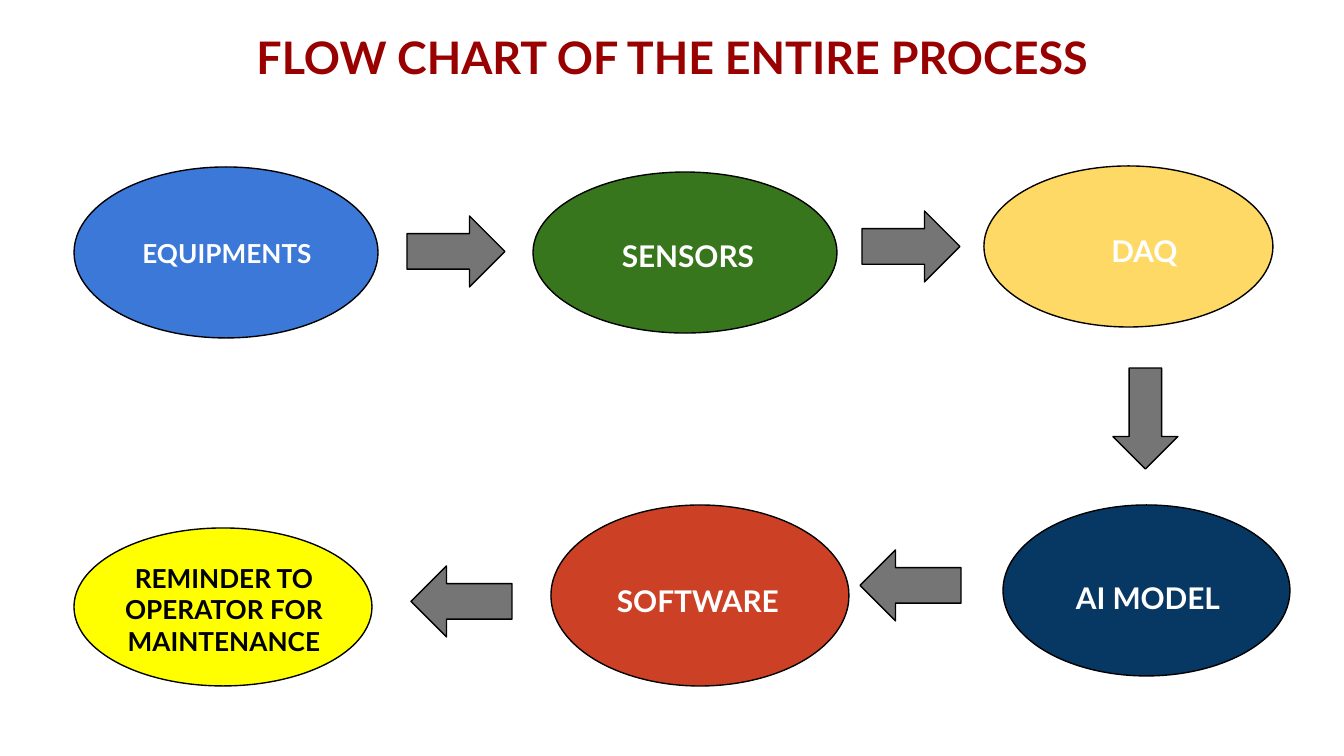
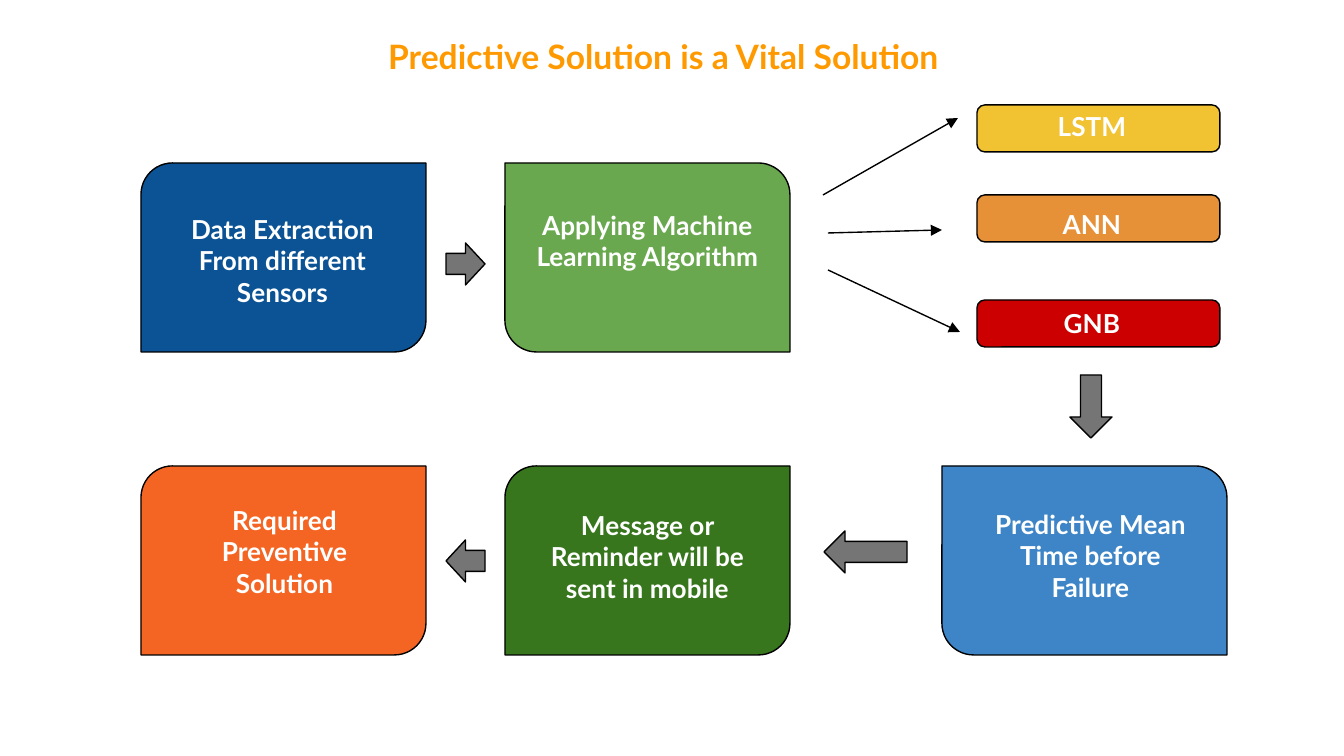
"""Build two process slides: the monitoring flow chart and the predictive solution."""
from lxml import etree
from pptx import Presentation
from pptx import util as u
from pptx.dml.color import RGBColor
from pptx.enum import shapes, text
from pptx.oxml.ns import qn

EMU_PER_PX = 914400 / 134.4
FONT = "Lato"
COLORS = {
    "black": "000000", "white": "FFFFFF", "arrow": "757575",
    "maroon": "990000", "amber": "FF9900",
    "equipment": "3C78D8", "sensors": "38761D", "daq": "FFD966",
    "model": "073763", "software": "CC4125", "reminder": "FFFF00",
    "extraction": "0B5394", "learning": "6AA84F", "message": "38761D",
    "failure": "3D85C6", "prevention": "F46524",
    "lstm": "F1C232", "ann": "E69138", "gnb": "CC0000",
}
PRESET = shapes.MSO_SHAPE
ARROWS = {"right": PRESET.RIGHT_ARROW, "left": PRESET.LEFT_ARROW, "down": PRESET.DOWN_ARROW}
ROUNDING = 0.167
COLUMNS = (141, 505, 942)
ROWS = (163, 466)


def px(*lengths):
    """Turn pixel lengths into EMU."""
    return [u.Emu(round(length * EMU_PER_PX)) for length in lengths]


def rgb(name):
    """Look up a named colour."""
    return RGBColor.from_string(COLORS[name])


def write(frame, *paragraphs, size=14, color="white", align=text.PP_ALIGN.CENTER):
    """Fill a text frame with bold paragraphs from the top down."""
    frame.word_wrap = True
    frame.auto_size = text.MSO_AUTO_SIZE.NONE
    frame.vertical_anchor = text.MSO_ANCHOR.TOP
    frame.margin_left = frame.margin_right = u.Inches(0.1)
    frame.margin_top = frame.margin_bottom = u.Inches(0.1)
    for index, words in enumerate(paragraphs):
        paragraph = frame.add_paragraph() if index else frame.paragraphs[0]
        paragraph.alignment = align
        run = paragraph.add_run()
        run.text = words
        run.font.name, run.font.size, run.font.bold = FONT, u.Pt(size), True
        run.font.color.rgb = rgb(color)


def add_slide(deck, heading, box, **style):
    """Add a slide whose title placeholder sits in the given box."""
    slide = deck.slides.add_slide(deck.slide_layouts[5])
    title = slide.shapes.title
    title.left, title.top, title.width, title.height = px(*box)
    write(title.text_frame, heading, **style)
    return slide


def outlined(slide, preset, box, fill, adjustments=()):
    """Draw a filled preset shape with a thin black outline."""
    figure = slide.shapes.add_shape(preset, *px(*box))
    figure.shadow.inherit = False
    figure.fill.solid()
    figure.fill.fore_color.rgb = rgb(fill)
    figure.line.color.rgb = rgb("black")
    figure.line.width = u.Pt(0.75)
    for index, value in enumerate(adjustments):
        figure.adjustments[index] = value


def label(slide, box, *paragraphs, **style):
    """Place a text box over a shape."""
    write(slide.shapes.add_textbox(*px(*box)).text_frame, *paragraphs, **style)


def block_arrow(slide, direction, box):
    """Draw a grey block arrow."""
    outlined(slide, ARROWS[direction], box, "arrow")


def branch(slide, start, end):
    """Draw a thin line with an arrowhead at its end."""
    link = slide.shapes.add_connector(shapes.MSO_CONNECTOR.STRAIGHT, *px(*start, *end))
    link.line.color.rgb = rgb("black")
    link.line.width = u.Pt(0.75)
    etree.SubElement(link.line._get_or_add_ln(), qn("a:tailEnd"), type="triangle")
    etree.SubElement(link._element.spPr, qn("a:effectLst"))


def build_flow_chart(deck):
    """Build the flow chart from equipment to operator."""
    slide = add_slide(deck, "FLOW CHART OF THE ENTIRE PROCESS", (151, 16, 1042, 78),
                      size=24, color="maroon")
    stages = [
        ("equipment", (74, 167, 304, 171), "EQUIPMENTS", (114, 224, 226, 55), 14, "white"),
        ("sensors", (533, 172, 304, 161), "SENSORS", (598, 224, 180, 55), 16, "white"),
        ("daq", (984, 166, 289, 161), "DAQ", (1039, 219, 211, 55), 16, "white"),
        ("model", (1003, 505, 287, 171), "AI MODEL", (1039, 566, 218, 55), 16, "white"),
        ("software", (551, 505, 298, 181), "SOFTWARE", (589, 569, 218, 55), 16, "white"),
        ("reminder", (74, 528, 298, 158), "REMINDER TO OPERATOR FOR MAINTENANCE",
         (97, 549, 254, 145), 14, "black"),
    ]
    for fill, oval, words, words_box, size, color in stages:
        outlined(slide, PRESET.OVAL, oval, fill)
        label(slide, words_box, words, size=size, color=color)
    for direction, box in [
        ("right", (407, 216, 98, 71)), ("right", (862, 211, 98, 71)),
        ("down", (1113, 368, 65, 101)),
        ("left", (860, 550, 101, 71)), ("left", (411, 566, 101, 71)),
    ]:
        block_arrow(slide, direction, box)


def build_predictive_solution(deck):
    """Build the path from data extraction to preventive solution."""
    slide = add_slide(deck, "Predictive Solution is a Vital Solution", (11, 22, 1305, 94),
                      size=18, color="amber")
    steps = [
        ("extraction", 0, 0, False, (161, 200, 243, 116),
         ["Data Extraction", "From different Sensors"]),
        ("learning", 1, 0, True, (505, 196, 285, 124),
         ["Applying Machine Learning Algorithm"]),
        ("failure", 2, 1, True, (969, 495, 243, 138),
         ["Predictive Mean Time before Failure"]),
        ("message", 1, 1, False, (526, 496, 243, 138),
         ["Message or Reminder will be sent in mobile"]),
        ("prevention", 0, 1, False, (165, 491, 239, 142),
         ["Required Preventive Solution"]),
    ]
    for fill, column, row, mirrored, words_box, words in steps:
        corners = (0, ROUNDING) if mirrored else (ROUNDING, 0)
        outlined(slide, PRESET.ROUND_2_DIAG_RECTANGLE,
                 (COLUMNS[column], ROWS[row], 285, 189), fill, corners)
        label(slide, words_box, *words)
    for name, top, words_top in [("LSTM", 105, 97), ("ANN", 195, 195), ("GNB", 300, 294)]:
        outlined(slide, PRESET.ROUNDED_RECTANGLE, (977, top, 243, 47), name.lower(), [ROUNDING])
        label(slide, (1034, words_top, 116, 42), name)
    for start, end in [((823, 195), (958, 118)), ((828, 233), (942, 230)),
                       ((828, 270), (960, 332))]:
        branch(slide, start, end)
    for direction, box in [
        ("right", (446, 243, 39, 42)), ("down", (1070, 375, 42, 63)),
        ("left", (824, 531, 83, 42)), ("left", (446, 540, 39, 42)),
    ]:
        block_arrow(slide, direction, box)


def main():
    """Build and save the deck."""
    deck = Presentation()
    deck.slide_width, deck.slide_height = px(1344, 756)
    build_flow_chart(deck)
    build_predictive_solution(deck)
    deck.save("out.pptx")


if __name__ == "__main__":
    main()
